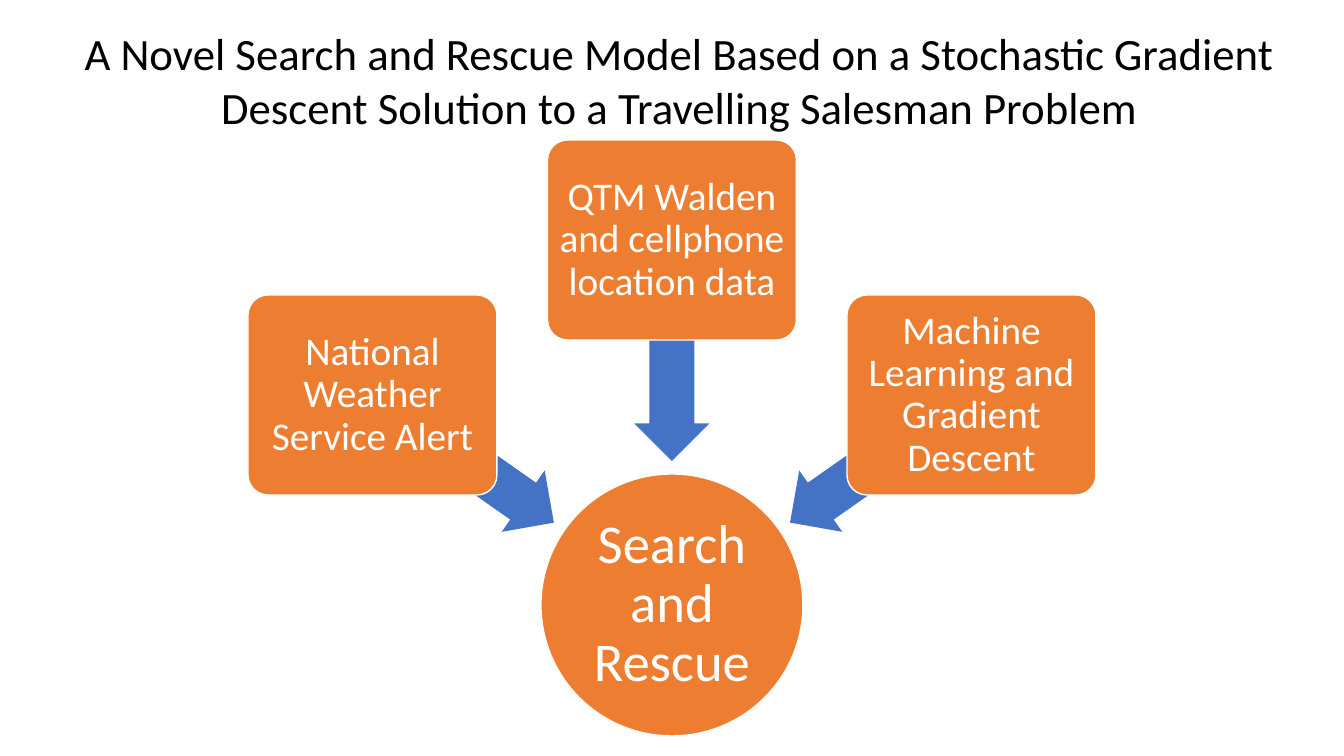
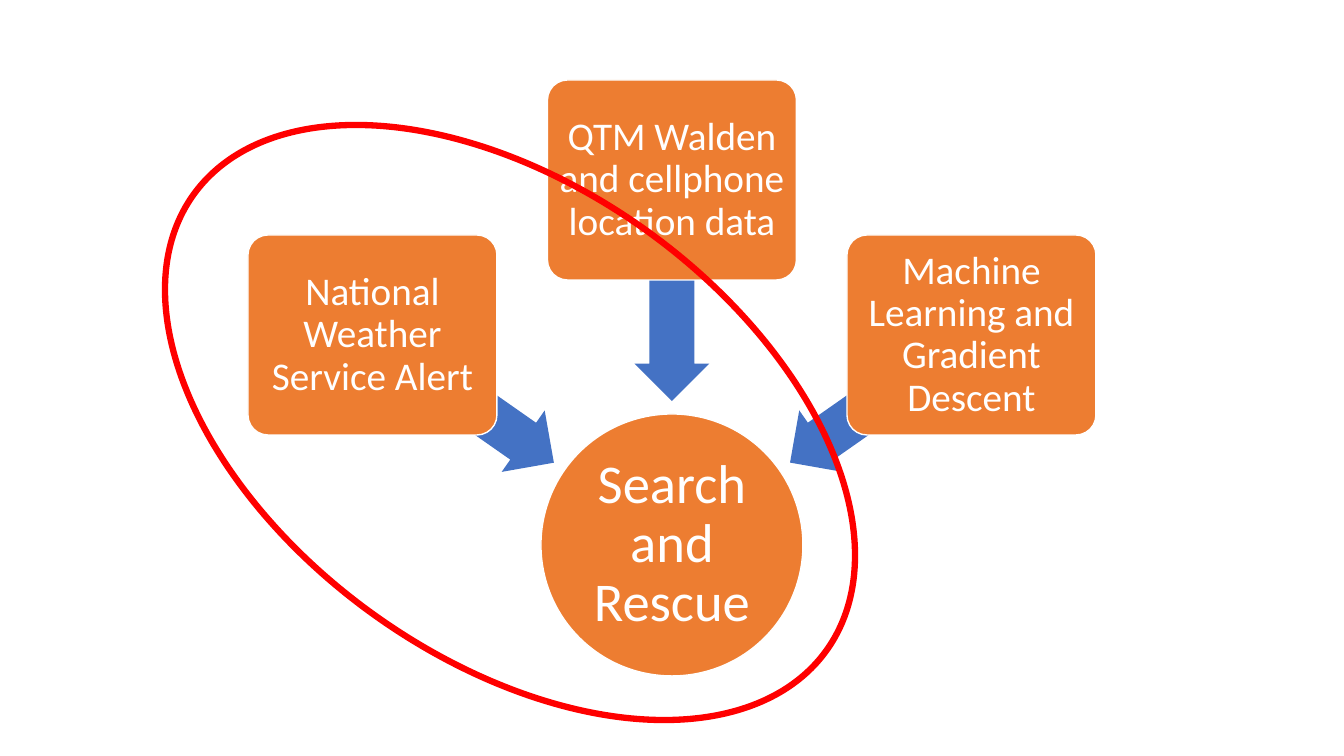
from pptx import Presentation
from pptx.dml.color import RGBColor
from pptx.enum.shapes import MSO_SHAPE
from pptx.enum.text import MSO_ANCHOR, PP_ALIGN
from pptx.util import Pt

SCALE = 914400 / 100.8
ORANGE = RGBColor(0xED, 0x7D, 0x31)
BLUE = RGBColor(0x44, 0x72, 0xC4)
RED = RGBColor(0xFF, 0x00, 0x00)
WHITE = RGBColor(0xFF, 0xFF, 0xFF)
BLACK = RGBColor(0x00, 0x00, 0x00)
FONT = "Calibri"

CARD_W, CARD_H = 249, 200
CIRCLE = 262
ARROW_W, ARROW_H = 222, 75
SOURCES = [
    ("National Weather Service Alert", 155, 319, 215),
    ("QTM Walden and cellphone location data", 0, 210, 270),
    ("Machine Learning and Gradient Descent", 155, 319, 325),
]


def px(n):
    return round(n * SCALE)


def assign(item, values):
    for name, value in values.items():
        setattr(item, name, value)


def write(shape, text, size, color, inset=None, spacing=None):
    frame = shape.text_frame
    frame.word_wrap = True
    if inset is not None:
        sides = ("left", "top", "right", "bottom")
        assign(frame, {f"margin_{side}": px(inset) for side in sides})
        frame.vertical_anchor = MSO_ANCHOR.MIDDLE
    para = frame.paragraphs[0]
    assign(para, {"alignment": PP_ALIGN.CENTER, "line_spacing": spacing})
    run = para.add_run()
    run.text = text
    assign(run.font, {"name": FONT, "size": Pt(size)})
    run.font.color.rgb = color


def draw(slide, kind, box, fill=None, line=None, weight=1, adjust=(), turn=0):
    shape = slide.shapes.add_shape(kind, *map(px, box))
    shape.shadow.inherit = False
    shape.rotation = turn
    for index, value in enumerate(adjust):
        shape.adjustments[index] = value
    if fill is None:
        shape.fill.background()
    else:
        shape.fill.solid()
        shape.fill.fore_color.rgb = fill
    if line is None:
        shape.line.fill.background()
    else:
        shape.line.color.rgb = line
        shape.line.width = Pt(weight)
    return shape


def add_title(slide, box, text):
    write(slide.shapes.add_textbox(*map(px, box)), text, 32, BLACK)


def add_diagram(slide, box):
    left, top, width, height = box
    middle = left + width / 2
    circle = draw(slide, MSO_SHAPE.OVAL,
                  (middle - CIRCLE / 2, top + height - CIRCLE, CIRCLE, CIRCLE),
                  ORANGE, WHITE)
    write(circle, "Search and Rescue", 39, WHITE, 3, 0.9)
    step = (width - CARD_W) / 2
    for index, (text, drop, center, turn) in enumerate(SOURCES):
        arrow_x = middle + (index - 1) * 209
        draw(slide, MSO_SHAPE.LEFT_ARROW,
             (arrow_x - ARROW_W / 2, top + center - ARROW_H / 2, ARROW_W, ARROW_H),
             BLUE, adjust=(0.6, 0.5), turn=turn)
        card = draw(slide, MSO_SHAPE.ROUNDED_RECTANGLE,
                    (left + index * step, top + drop, CARD_W, CARD_H),
                    ORANGE, WHITE, adjust=(0.1,))
        write(card, text, 28, WHITE, 6, 0.9)


def add_ring(slide, box):
    draw(slide, MSO_SHAPE.OVAL, box, line=RED, weight=4.5, turn=35.8)


def main():
    deck = Presentation()
    assign(deck, {"slide_width": px(1344), "slide_height": px(756)})
    intro, focus = (deck.slides.add_slide(deck.slide_layouts[6]) for _ in range(2))
    add_diagram(intro, (248, 140, 848, 596))
    add_title(intro, (60, 21, 1239, 119),
              "A Novel Search and Rescue Model Based on a Stochastic Gradient "
              "Descent Solution to a Travelling Salesman Problem")
    add_diagram(focus, (248, 80, 848, 596))
    add_ring(focus, (120, 187, 780, 471))
    deck.save("out.pptx")


if __name__ == "__main__":
    main()
